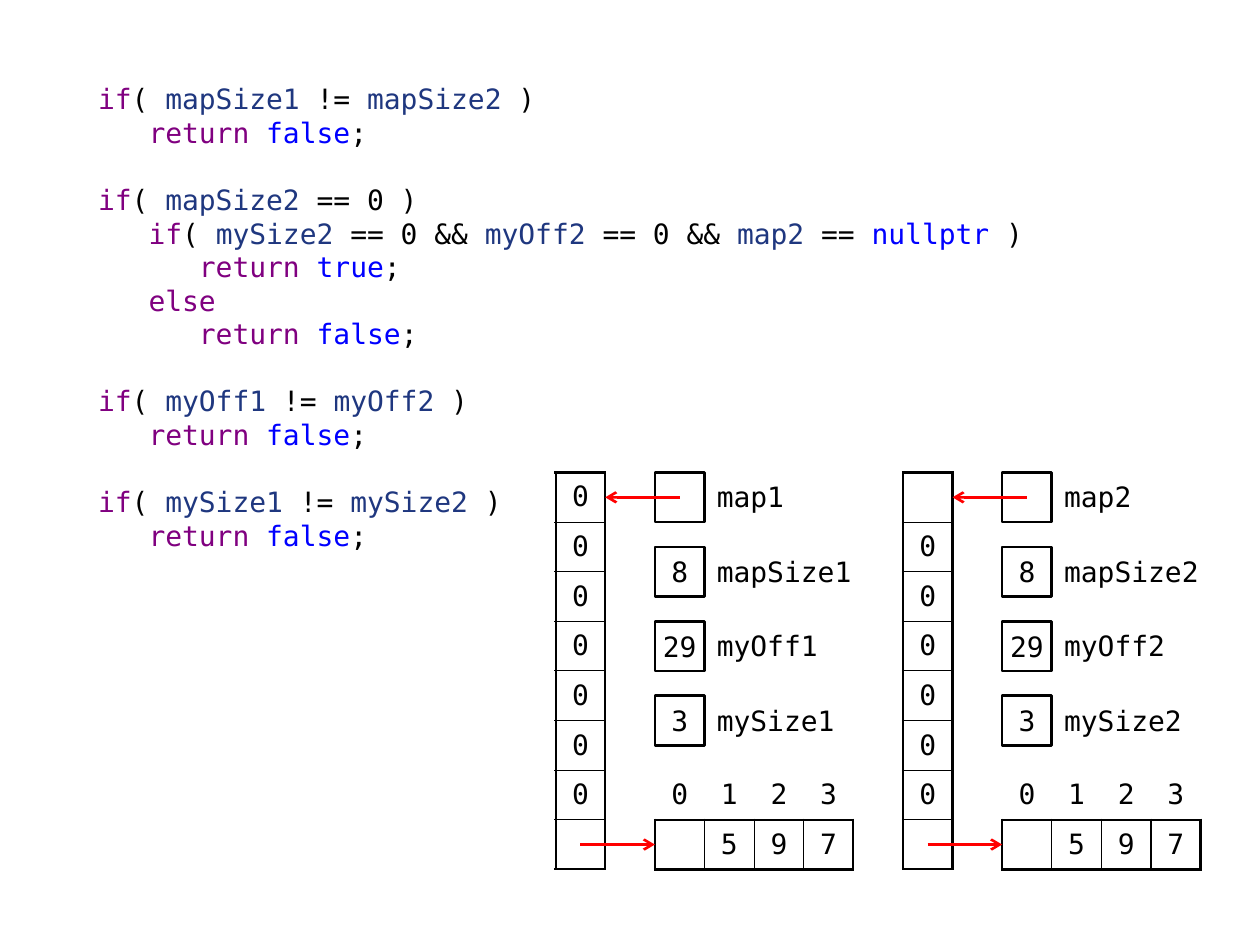
from lxml.etree import SubElement
from pptx import Presentation
from pptx.dml.color import RGBColor
from pptx.enum.shapes import MSO_CONNECTOR, MSO_SHAPE
from pptx.enum.text import MSO_ANCHOR, PP_ALIGN
from pptx.oxml.ns import qn
from pptx.util import Inches, Pt

rgb = RGBColor.from_string
BLACK, WHITE, RED = "000000", "FFFFFF", "FF0000"
KEYWORD, LITERAL, VARIABLE = "800080", "0000FF", "1F377F"
COLORS = {"if": KEYWORD, "else": KEYWORD, "return": KEYWORD,
          "true": LITERAL, "false": LITERAL, "nullptr": LITERAL}
for name in ("map", "mapSize", "myOff", "mySize"):
    for n in "12":
        COLORS[name + n] = VARIABLE

CODE = [
    """   |if|( |mapSize1| != |mapSize2| )
      |return |false|;""",
    """   |if|( |mapSize2| == 0 )
      |if|( |mySize2| == 0 && |myOff2| == 0 && |map2| == |nullptr| )
         |return |true|;
      |else
         |return |false|;""",
    """   |if|( |myOff1| != |myOff2| )
      |return |false|;""",
    """   |if|( |mySize1| != |mySize2| )
      |return |false|;""",
]

CELL = int(Inches(3.15) / 8)
LEFT, TOP = Inches(4.41), Inches(3.75)
PAD = Inches(0.04)


def add_run(p, text, color=BLACK):
    r = p.add_run()
    r.text = text
    r.font.name = "DejaVu Sans Mono"
    r.font.size = Pt(16)
    r.font.color.rgb = rgb(color)


def add_grid(x, y, rows, first):
    nrows, ncols = len(rows), len(rows[0])
    table = s.shapes.add_table(nrows, ncols, x, y, CELL * ncols, CELL * nrows).table
    table.first_row = table.horz_banding = False
    for col in table.columns:
        col.width = CELL
    for i, row in enumerate(rows):
        table.rows[i].height = CELL
        for j, text in enumerate(row):
            cell = table.cell(i, j)
            cell.margin_left = cell.margin_right = PAD
            cell.margin_top = cell.margin_bottom = PAD
            cell.vertical_anchor = MSO_ANCHOR.MIDDLE
            p = cell.text_frame.paragraphs[0]
            p.alignment = PP_ALIGN.CENTER
            if text:
                add_run(p, text)
            if i < first:
                widths = (0, 0, 0, 1.5 if i == first - 1 else 0)
            else:
                outer = (j == 0, j == ncols - 1, i == first, i == nrows - 1)
                widths = [1.5 if edge else 0.75 for edge in outer]
            tcPr = cell._tc.get_or_add_tcPr()
            for side, width in zip("LRTB", widths):
                ln = SubElement(tcPr, qn("a:ln" + side), w=str(Pt(width)))
                if width:
                    fill = SubElement(ln, qn("a:solidFill"))
                    SubElement(fill, qn("a:srgbClr"), val=BLACK)
                else:
                    SubElement(ln, qn("a:noFill"))
            cell.fill.solid()
            cell.fill.fore_color.rgb = rgb(WHITE)


prs = Presentation()
prs.slide_width, prs.slide_height = Inches(10), Inches(7.5)
s = prs.slides.add_slide(prs.slide_layouts[6])

tf = s.shapes.add_textbox(Inches(0.28), Inches(0.6), Inches(8.07), Inches(3.94)).text_frame
tf.word_wrap = True
p = tf.paragraphs[0]
for b, block in enumerate(CODE):
    for i, line in enumerate(block.split("\n")):
        if b or i:
            p = tf.add_paragraph()
        p.line_spacing = Pt(19.2)
        p.space_before = Pt(19.2 if b and i == 0 else 0)
        for text in line.split("|"):
            add_run(p, text, COLORS.get(text.strip(), BLACK))

for n, head in (("1", "0"), ("2", "")):
    x = LEFT + (int(n) - 1) * 7 * CELL
    right = x + 2 * CELL
    add_grid(x, TOP, [[head]] + [["0"]] * 6 + [[""]], 0)
    add_grid(right, TOP + 6 * CELL, [["0", "1", "2", "3"], ["", "5", "9", "7"]], 1)

    fields = [("map", ""), ("mapSize", "8"), ("myOff", "29"), ("mySize", "3")]
    for i, (name, value) in enumerate(fields):
        y = TOP + int(1.5 * i * CELL)
        sp = s.shapes.add_shape(MSO_SHAPE.RECTANGLE, right, y, CELL, CELL)
        sp.shadow.inherit = False
        sp.fill.solid()
        sp.fill.fore_color.rgb = rgb(WHITE)
        sp.line.color.rgb = rgb(BLACK)
        sp.line.width = Pt(1.5)
        tf = sp.text_frame
        tf.margin_left = tf.margin_right = PAD
        tf.vertical_anchor = MSO_ANCHOR.MIDDLE
        p = tf.paragraphs[0]
        p.alignment = PP_ALIGN.CENTER
        if value:
            add_run(p, value)

        width = CELL * (3 if value else 2)
        tf = s.shapes.add_textbox(right + CELL, y, width, CELL).text_frame
        tf.word_wrap = True
        tf.margin_left, tf.margin_top = Inches(0.1), Inches(0.06)
        tf.margin_right = tf.margin_bottom = 0
        add_run(tf.paragraphs[0], name + n)

    half = CELL // 2
    arrows = [(x + half, right, TOP + 7 * CELL + half),
              (right + half, x + CELL, TOP + half)]
    for start, end, y in arrows:
        sp = s.shapes.add_connector(MSO_CONNECTOR.STRAIGHT, start, y, end, y)
        sp.line.color.rgb = rgb(RED)
        sp.line.width = Pt(1.5)
        SubElement(sp.line._get_or_add_ln(), qn("a:tailEnd"), type="arrow")
        SubElement(sp._element.spPr, qn("a:effectLst"))

prs.save("out.pptx")
